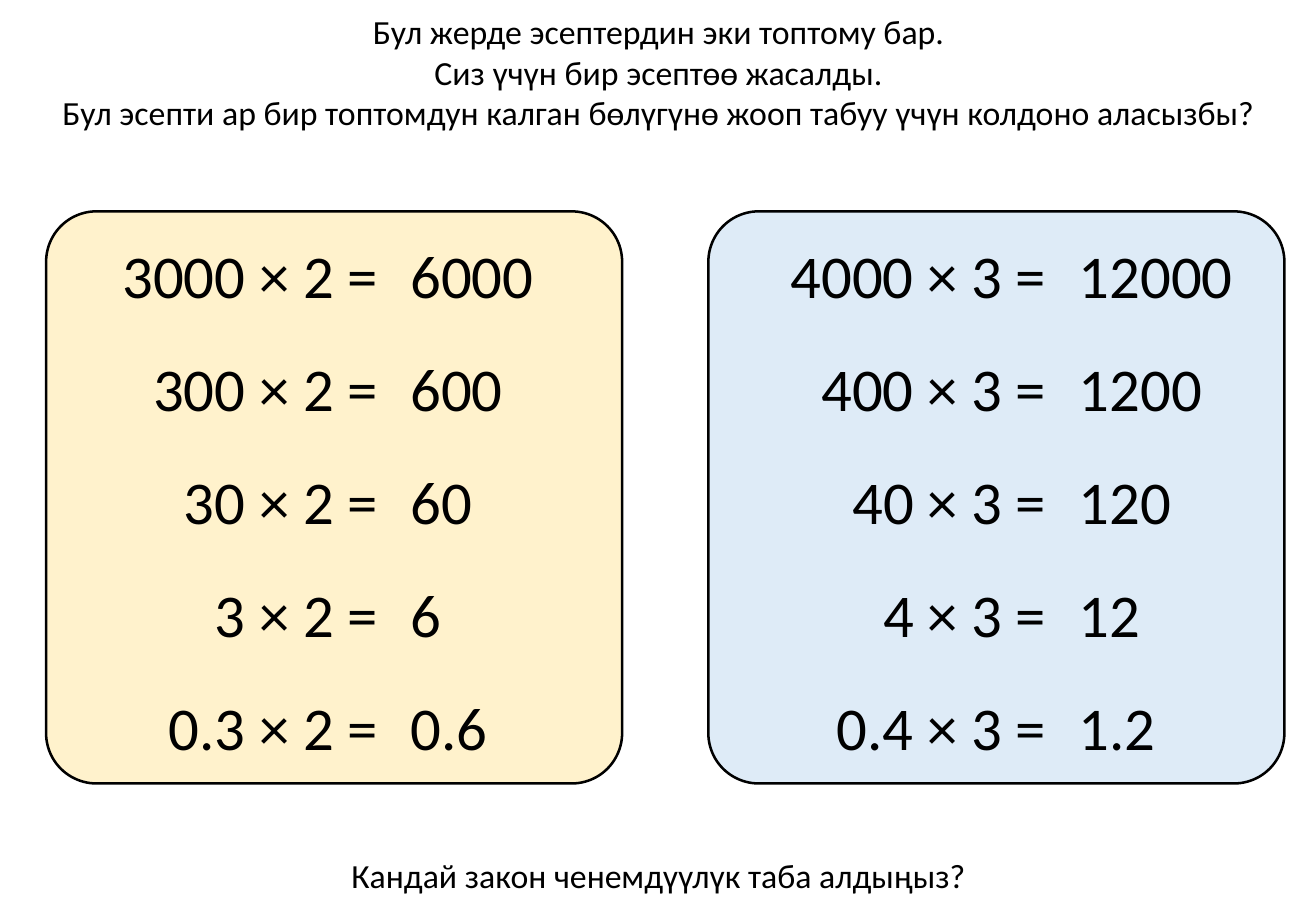
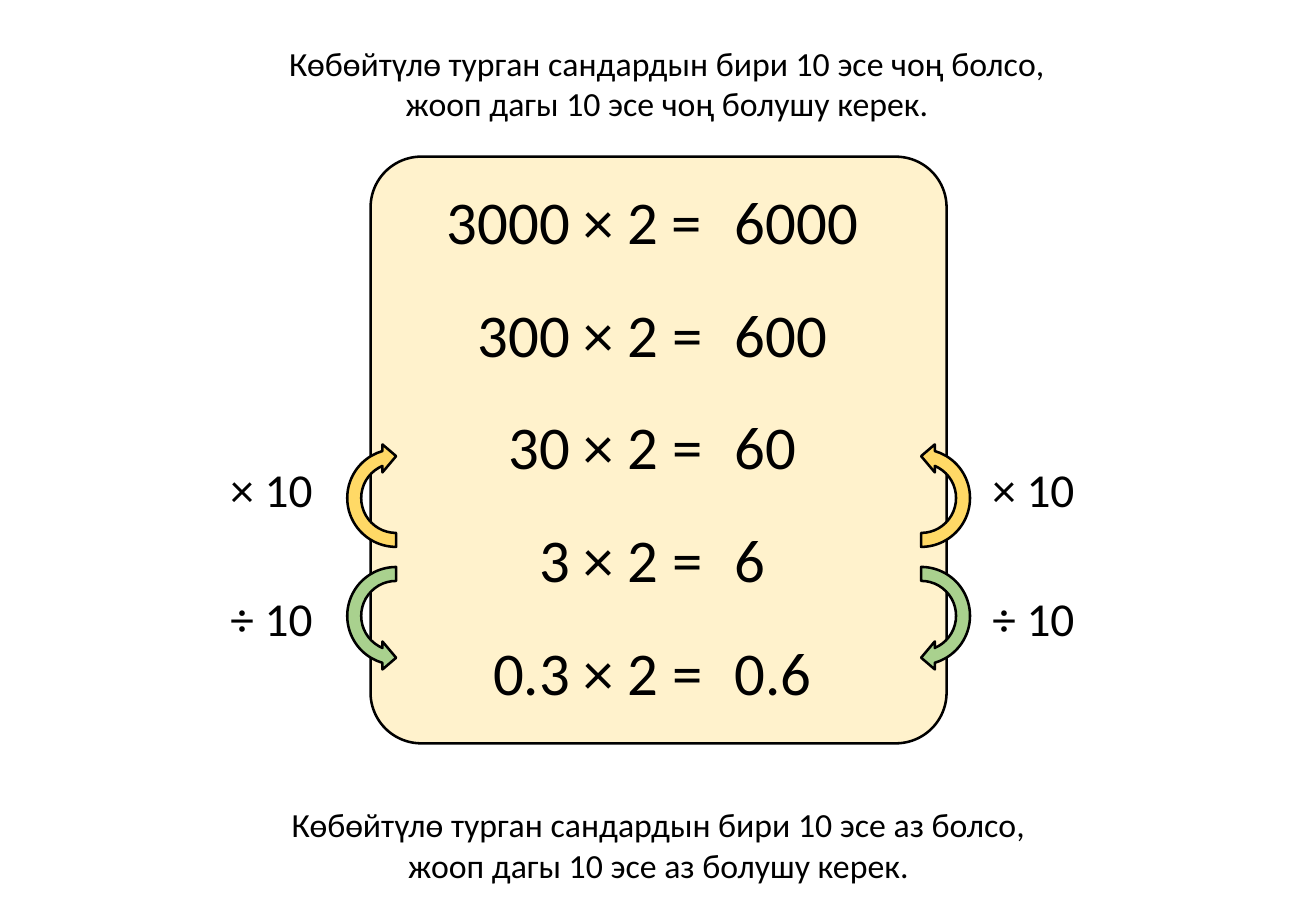
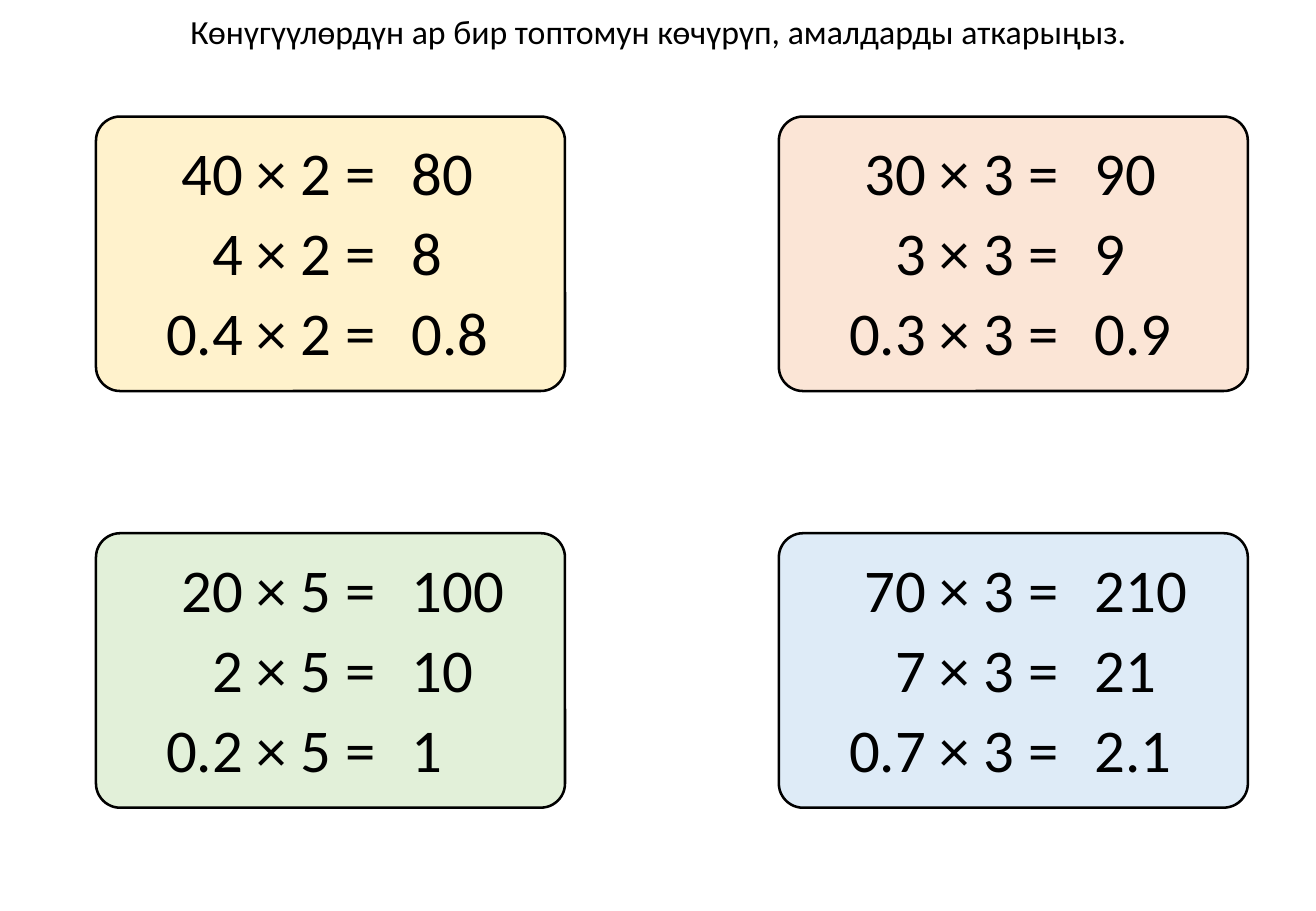
from pptx import Presentation
from pptx.dml.color import RGBColor
from pptx.enum.shapes import MSO_SHAPE
from pptx.enum.text import MSO_ANCHOR, MSO_AUTO_SIZE, PP_ALIGN
from pptx.util import Pt

PX = 9144  # EMU in one px: 100 px to the inch
SLIDE_W, SLIDE_H = 1083, 750
CENTRE = 542
FONT = "Calibri"
INK = "000000"
CREAM, BLUE, PEACH, GREEN = "FFF2CC", "DEEBF7", "FBE5D6", "E2F0D9"
ARROW_YELLOW, ARROW_GREEN = "FFD966", "A9D18E"
SUM_SIZE, LABEL_SIZE, CAPTION_SIZE = 36, 28, 20
LEFT, CENTER, RIGHT = PP_ALIGN.LEFT, PP_ALIGN.CENTER, PP_ALIGN.RIGHT
TOP = MSO_ANCHOR.TOP
NO_AUTOFIT = MSO_AUTO_SIZE.NONE
ROUNDED = MSO_SHAPE.ROUNDED_RECTANGLE
CIRCULAR_ARROW = MSO_SHAPE.CIRCULAR_ARROW
TITLE_ONLY = 5

TIMES_2 = [("3000 × 2 =", "6000"), ("300 × 2 =", "600"), ("30 × 2 =", "60"),
           ("3 × 2 =", "6"), ("0.3 × 2 =", "0.6")]
TIMES_3 = [("4000 × 3 =", "12000"), ("400 × 3 =", "1200"), ("40 × 3 =", "120"),
           ("4 × 3 =", "12"), ("0.4 × 3 =", "1.2")]
EXERCISES = [
    (CREAM, [("40 × 2 =", "80"), ("4 × 2 =", "8"), ("0.4 × 2 =", "0.8")]),
    (PEACH, [("30 × 3 =", "90"), ("3 × 3 =", "9"), ("0.3 × 3 =", "0.9")]),
    (GREEN, [("20 × 5 =", "100"), ("2 × 5 =", "10"), ("0.2 × 5 =", "1")]),
    (BLUE, [("70 × 3 =", "210"), ("7 × 3 =", "21"), ("0.7 × 3 =", "2.1")]),
]


def emu(*lengths):
    return [n * PX for n in lengths]


def rgb(color):
    return RGBColor.from_string(color)


def set_text(sp, lines, size=CAPTION_SIZE, align=CENTER, color=INK):
    tf = sp.text_frame
    tf.word_wrap = True
    tf.auto_size = NO_AUTOFIT
    tf.vertical_anchor = TOP
    for i, line in enumerate(lines):
        p = tf.add_paragraph() if i else tf.paragraphs[0]
        p.alignment = align
        r = p.add_run()
        r.text = line
        r.font.name = FONT
        r.font.size = Pt(size)
        r.font.color.rgb = rgb(color)


def add_text(slide, x, y, w, h, *lines, **style):
    sp = slide.shapes.add_textbox(*emu(x, y, w, h))
    set_text(sp, lines, **style)


def add_caption(slide, y, *lines):
    add_text(slide, CENTRE - 520, y, 1040, 11 + 33 * len(lines), *lines)


def add_titled_slide(prs, y, *lines, centre=CENTRE):
    slide = prs.slides.add_slide(prs.slide_layouts[TITLE_ONLY])
    title = slide.shapes.title
    title.left, title.top, title.width, title.height = emu(
        centre - 520, y, 1040, 11 + 33 * len(lines))
    set_text(title, lines)
    return slide


def add_outlined(slide, kind, x, y, w, h, fill):
    sp = slide.shapes.add_shape(kind, *emu(x, y, w, h))
    sp.shadow.inherit = False
    sp.fill.solid()
    sp.fill.fore_color.rgb = rgb(fill)
    sp.line.color.rgb = rgb(INK)
    sp.line.width = Pt(1.5)
    return sp


def add_panel(slide, x, y, w, h, fill, sums, answer_dx=290, gap=7, pad=17, step=93):
    """Rounded panel of sums: each task ends, and each answer starts, on one edge."""
    panel = add_outlined(slide, ROUNDED, x, y, w, h, fill)
    panel.adjustments[0] = 0.088
    answer_x = x + answer_dx
    for i, (task, answer) in enumerate(sums):
        row_y = y + pad + i * step
        add_text(slide, answer_x - gap - 260, row_y, 260, 71, task,
                 size=SUM_SIZE, align=RIGHT)
        add_text(slide, answer_x, row_y, 170, 71, answer,
                 size=SUM_SIZE, align=LEFT)


def add_turn_arrow(slide, x, y, fill, rotation, flipped):
    sp = add_outlined(slide, CIRCULAR_ARROW, x, y, 92, 92, fill)
    sp.rotation = rotation
    if flipped:
        sp._element.spPr.xfrm.set("flipV", "1")


def build_two_sets(prs):
    slide = add_titled_slide(
        prs, 4,
        "Бул жерде эсептердин эки топтому бар.",
        "Сиз үчүн бир эсептөө жасалды.",
        "Бул эсепти ар бир топтомдун калган бөлүгүнө жооп табуу үчүн колдоно аласызбы?")
    add_panel(slide, 38, 174, 474, 471, CREAM, TIMES_2)
    add_panel(slide, 583, 174, 474, 471, BLUE, TIMES_3, answer_dx=295)
    add_caption(slide, 699, "Кандай закон ченемдүүлүк таба алдыңыз?")


def build_rule(prs):
    slide = add_titled_slide(
        prs, 30,
        "Көбөйтүлө турган сандардын бири 10 эсе чоң болсо,",
        "жооп дагы 10 эсе чоң болушу керек.", centre=549)
    add_panel(slide, 305, 129, 474, 483, CREAM, TIMES_2)
    steps = [("× 10", 364, 374, ARROW_YELLOW, 270), ("÷ 10", 461, 480, ARROW_GREEN, 90)]
    sides = [(280, 168, 90), (712, 795, 270)]
    for label, arrow_y, label_y, fill, rotation in steps:
        for arrow_x, label_x, flipped_at in sides:
            add_turn_arrow(slide, arrow_x, arrow_y, fill, rotation, rotation == flipped_at)
            add_text(slide, label_x, label_y, 99, 57, label,
                     size=LABEL_SIZE, align=RIGHT)
    add_caption(slide, 657,
                "Көбөйтүлө турган сандардын бири 10 эсе аз болсо,",
                "жооп дагы 10 эсе аз болушу керек.")


def build_exercises(prs):
    slide = add_titled_slide(
        prs, 4, "Көнүгүүлөрдүн ар бир топтомун көчүрүп, амалдарды аткарыңыз.")
    for i, (fill, sums) in enumerate(EXERCISES):
        row, col = divmod(i, 2)
        add_panel(slide, 79 + 562 * col, 96 + 343 * row, 386, 226, fill, sums,
                  answer_dx=250, gap=10, pad=10, step=66)


def main():
    prs = Presentation()
    prs.slide_width, prs.slide_height = emu(SLIDE_W, SLIDE_H)
    build_two_sets(prs)
    build_rule(prs)
    build_exercises(prs)
    prs.save("out.pptx")


if __name__ == "__main__":
    main()
